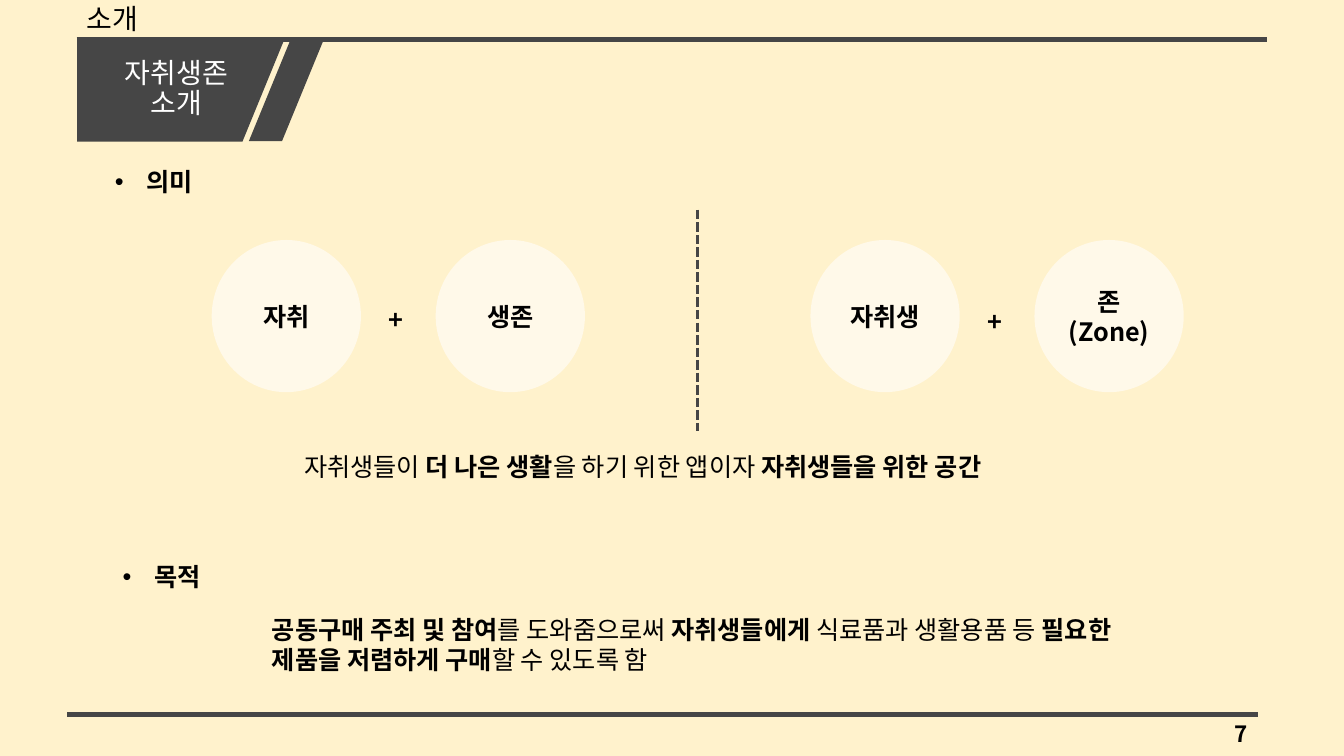
from dataclasses import dataclass

from lxml import etree
from pptx import Presentation
from pptx.dml.color import RGBColor
from pptx.enum.dml import MSO_LINE
from pptx.enum.shapes import MSO_CONNECTOR, MSO_SHAPE
from pptx.enum.text import MSO_ANCHOR, MSO_AUTO_SIZE, PP_ALIGN
from pptx.oxml.ns import qn
from pptx.util import Pt

LEFT, CENTER, RIGHT = PP_ALIGN.LEFT, PP_ALIGN.CENTER, PP_ALIGN.RIGHT
TOP, MIDDLE = MSO_ANCHOR.TOP, MSO_ANCHOR.MIDDLE
GROW, FIXED = MSO_AUTO_SIZE.SHAPE_TO_FIT_TEXT, MSO_AUTO_SIZE.NONE
SYS_DASH = MSO_LINE.SQUARE_DOT
STRAIGHT = MSO_CONNECTOR.STRAIGHT
ELLIPSE = MSO_SHAPE.OVAL
MANUAL_INPUT = MSO_SHAPE.FLOWCHART_MANUAL_INPUT
PARALLELOGRAM = MSO_SHAPE.PARALLELOGRAM


@dataclass(frozen=True)
class Theme:
    font: str = "Noto Sans CJK KR"
    cream: RGBColor = RGBColor(0xFF, 0xF2, 0xCC)
    charcoal: RGBColor = RGBColor(0x46, 0x46, 0x46)
    white: RGBColor = RGBColor(0xFF, 0xFF, 0xFF)
    black: RGBColor = RGBColor(0, 0, 0)
    heading: int = 20
    body: int = 18
    page: int = 16


def set_all(target, values):
    for name, value in values.items():
        setattr(target, name, value)


class SlideBuilder:
    def __init__(self, slide, theme):
        self.slide = slide
        self.theme = theme
        slide.background.fill.solid()
        slide.background.fill.fore_color.rgb = theme.cream

    def rule(self, start, end, width, dash=None):
        line = self.slide.shapes.add_connector(
            STRAIGHT, *(Pt(value) for value in (*start, *end)))
        line.line.color.rgb = self.theme.charcoal
        set_all(line.line, {"width": Pt(width), "dash_style": dash})
        etree.SubElement(line.element.spPr, qn("a:effectLst"))

    def shape(self, kind, box, color, alpha=None):
        shape = self.slide.shapes.add_shape(kind, *(Pt(value) for value in box))
        shape.shadow.inherit = False
        shape.fill.solid()
        shape.fill.fore_color.rgb = color
        shape.line.fill.background()
        if alpha:
            fill_color = shape.element.spPr.find(".//" + qn("a:srgbClr"))
            etree.SubElement(fill_color, qn("a:alpha"), val=str(alpha * 1000))
        return shape

    def fill_text(self, frame, paragraphs, size=None, color=None, align=LEFT,
                  spacing=None, bullet=False, **frame_format):
        set_all(frame, {"word_wrap": True, "auto_size": FIXED,
                        "vertical_anchor": TOP, **frame_format})
        for index, runs in enumerate(paragraphs):
            paragraph = frame.add_paragraph() if index else frame.paragraphs[0]
            set_all(paragraph, {"alignment": align, "line_spacing": spacing})
            if bullet:
                properties = paragraph._p.get_or_add_pPr()
                properties.set("marL", str(Pt(22.5)))
                properties.set("indent", str(Pt(-22.5)))
                etree.SubElement(properties, qn("a:buFont"), typeface="Arial")
                etree.SubElement(properties, qn("a:buChar"), char="•")
            for text, bold in runs:
                if text == "\n":
                    paragraph.add_line_break()
                    continue
                run = paragraph.add_run()
                run.text = text
                set_all(run.font, {"name": self.theme.font, "bold": bold,
                                   "size": Pt(size or self.theme.body)})
                run.font.color.rgb = color or self.theme.black
                etree.SubElement(run._r.get_or_add_rPr(), qn("a:ea"),
                                 typeface=self.theme.font)

    def text(self, box, paragraphs, **text_format):
        label = self.slide.shapes.add_textbox(*(Pt(value) for value in box))
        self.fill_text(label.text_frame, paragraphs, **text_format)

    def circle(self, left, top, lines):
        circle = self.shape(ELLIPSE, (left, top, 106.6, 108.7),
                            self.theme.white, alpha=57)
        self.fill_text(circle.text_frame, [[(line, True)] for line in lines],
                       align=CENTER, vertical_anchor=MIDDLE)

    def title_tag(self):
        tag = self.shape(MANUAL_INPUT, (92.9, -8.6, 72, 147.6), self.theme.charcoal)
        tag.rotation = 90
        tag.element.spPr.xfrm.set("flipH", "1")
        stripe = self.shape(PARALLELOGRAM, (177.8, 28.8, 53.3, 72),
                            self.theme.charcoal)
        stripe.adjustments[0] = 0.555


def main():
    theme = Theme()
    deck = Presentation()
    set_all(deck, {"slide_width": Pt(960), "slide_height": Pt(540)})
    page = SlideBuilder(deck.slides.add_slide(deck.slide_layouts[6]), theme)

    page.rule((54.7, 28.1), (905, 28.1), 4)
    page.rule((48.2, 510.5), (898.6, 510.5), 4)
    page.title_tag()
    page.text((682.6, 511.2, 216, 28.8), [[("7", True)]],
              size=theme.page, align=RIGHT)
    page.text((54.7, 0, 411.1, 27.4), [[("소개", False)]],
              size=theme.heading, spacing=0.9)
    page.text((49.7, 28.1, 152.6, 71.3),
              [[("자취생존", False), ("\n", False), ("소개", False)]],
              size=theme.heading, color=theme.white, align=CENTER,
              spacing=0.9, vertical_anchor=MIDDLE)

    word_pairs = [(151.2, 213.8, ["자취"], ["생존"]),
                  (578.9, 215.3, ["자취생"], ["존", "(Zone)"])]
    for left, plus_top, first, second in word_pairs:
        page.circle(left, 171.4, first)
        page.circle(left + 160, 171.4, second)
        page.text((left + 119.5, plus_top, 27.4, 28.8), [[("+", True)]],
                  word_wrap=False, auto_size=GROW)
    page.rule((498.2, 149.8), (498.2, 308.2), 2.25, SYS_DASH)

    for left, top, height, heading in [(74.9, 104.4, 36, "의미"),
                                       (80.6, 386.6, 40.3, "목적")]:
        page.text((left, top, 73.4, height), [[(heading, True)]], spacing=1.5,
                  bullet=True, word_wrap=False, auto_size=GROW)

    meaning = [("자취생들이 ", False), ("더 나은 생활", True),
               ("을 하기 위한 앱이자 ", False), ("자취생들을 위한 공간", True)]
    page.text((210.2, 308.2, 563, 36), [meaning], spacing=1.5,
              word_wrap=False, auto_size=GROW)
    purpose = [("공동구매 주최 및 참여", True), ("를 도와줌으로써 ", False),
               ("자취생들에게", True), (" 식료품과 생활용품 등 ", False),
               ("필요한 제품을 저렴하게 구매", True), ("할 수 있도록 함", False)]
    page.text((187.2, 434.9, 635, 51.1), [purpose], auto_size=GROW)

    deck.save("out.pptx")


if __name__ == "__main__":
    main()
